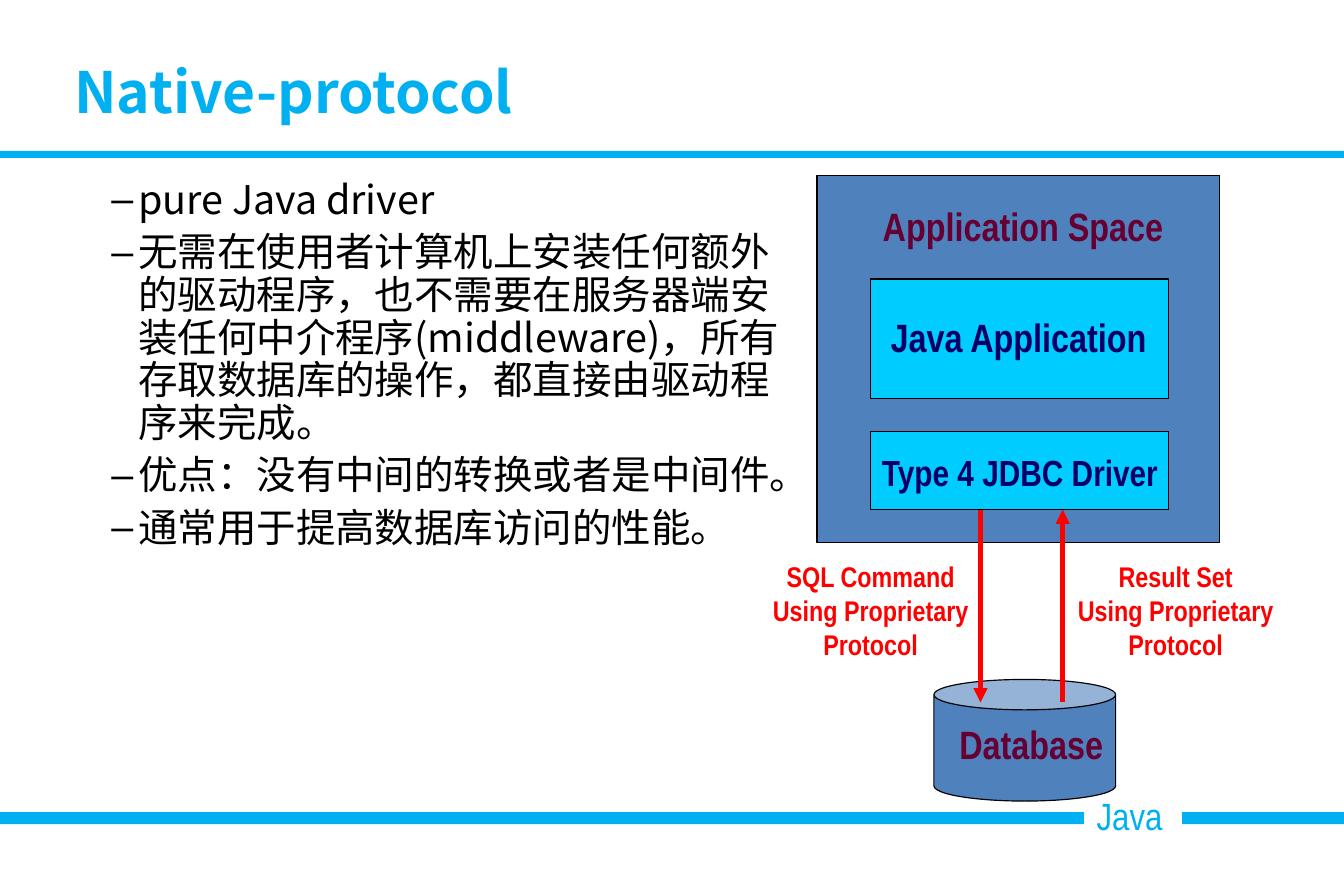
import dataclasses
import pptx
import pptx.dml.color
import pptx.enum.shapes
import pptx.enum.text
import pptx.oxml
import pptx.oxml.ns
import pptx.util

Pt = pptx.util.Pt
Shape = pptx.enum.shapes.MSO_SHAPE
Align = pptx.enum.text.PP_ALIGN
Anchor = pptx.enum.text.MSO_ANCHOR
AutoSize = pptx.enum.text.MSO_AUTO_SIZE
color = pptx.dml.color.RGBColor.from_string


@dataclasses.dataclass(frozen=True)
class Theme:
    accent: str = "00B0F0"
    panel: str = "4F81BD"
    block: str = "00CCFF"
    heading: str = "660033"
    block_text: str = "000066"
    flow: str = "FF0000"
    ink: str = "000000"
    paper: str = "FFFFFF"
    text_font: str = "Noto Sans CJK SC"
    diagram_font: str = "Arial Narrow"
    title_size: int = 36
    body_size: int = 25
    label_size: int = 25
    driver_size: int = 23
    note_size: int = 18
    footer_size: int = 24


theme = Theme()
deck = pptx.Presentation()
deck.slide_width, deck.slide_height = Pt(850.5), Pt(567)
page = deck.slides.add_slide(deck.slide_layouts[1])


def add_block(kind, left, top, width, height, fill, outlined):
    block = page.shapes.add_shape(kind, Pt(left), Pt(top), Pt(width), Pt(height))
    block.shadow.inherit = False
    block.fill.solid()
    block.fill.fore_color.rgb = color(fill)
    if outlined:
        block.line.color.rgb = color(theme.ink)
        block.line.width = Pt(0.75)
    else:
        block.line.fill.background()
    return block


def style(para, font, size, ink, bold, align):
    para.alignment = align
    for span in para.runs:
        span.font.name = font
        span.font.size = Pt(size)
        span.font.bold = bold
        span.font.color.rgb = color(ink)
        east_asian = pptx.oxml.parse_xml(
            f'<a:ea {pptx.oxml.ns.nsdecls("a")} typeface="{font}"/>')
        span.font._element.find(pptx.oxml.ns.qn("a:latin")).addnext(east_asian)


add_block(Shape.RECTANGLE, 0, 514, 850.5, 7.5, theme.accent, False)
footer = add_block(Shape.RECTANGLE, 686, 497.5, 62, 37, theme.paper, False)
footer.text_frame.text = "Java"
footer.text_frame.word_wrap = False
footer.text_frame.vertical_anchor = Anchor.TOP
footer.text_frame.margin_left = footer.text_frame.margin_right = Pt(8)
footer.text_frame.margin_top = footer.text_frame.margin_bottom = Pt(4)
style(footer.text_frame.paragraphs[0], theme.diagram_font, theme.footer_size,
      theme.accent, False, Align.LEFT)
add_block(Shape.RECTANGLE, 0, 95.5, 850.5, 4.5, theme.accent, False)

for kind, left, top, width, height, fill in (
    (Shape.RECTANGLE, 517, 111, 255, 232.5, theme.panel),
    (Shape.RECTANGLE, 551, 176.5, 188.5, 75.5, theme.block),
    (Shape.RECTANGLE, 551, 273, 188.5, 49.5, theme.block),
    (Shape.CAN, 591, 430, 115, 77, theme.panel),
):
    add_block(kind, left, top, width, height, fill, True)

for x, arrow_end in ((620.5, "tailEnd"), (672.5, "headEnd")):
    arrow = page.shapes.add_connector(
        pptx.enum.shapes.MSO_CONNECTOR.STRAIGHT, Pt(x), Pt(322.5), Pt(x), Pt(444.5))
    arrow.line.color.rgb = color(theme.flow)
    arrow.line.width = Pt(3)
    arrow.line._get_or_add_ln().append(pptx.oxml.parse_xml(
        f'<a:{arrow_end} {pptx.oxml.ns.nsdecls("a")} type="triangle"/>'))
    arrow._element.spPr.append(pptx.oxml.parse_xml(
        f'<a:effectLst {pptx.oxml.ns.nsdecls("a")}/>'))

for text, left, top, width, height, size, ink, align in (
    ("Application Space", 551.5, 124, 192, 37, theme.label_size, theme.heading, Align.LEFT),
    ("Java Application", 556.5, 194.5, 178, 37, theme.label_size, theme.block_text, Align.LEFT),
    ("Type 4 JDBC Driver", 551, 281.5, 191.5, 35, theme.driver_size, theme.block_text, Align.LEFT),
    ("Database", 600, 452, 106, 37, theme.label_size, theme.heading, Align.LEFT),
    ("SQL Command\vUsing Proprietary\vProtocol", 481.5, 350, 139, 73,
     theme.note_size, theme.flow, Align.CENTER),
    ("Result Set\vUsing Proprietary\vProtocol", 674.5, 350, 139, 73,
     theme.note_size, theme.flow, Align.CENTER),
):
    label = page.shapes.add_textbox(Pt(left), Pt(top), Pt(width), Pt(height))
    label.text_frame.word_wrap = False
    label.text_frame.text = text
    style(label.text_frame.paragraphs[0], theme.diagram_font, size, ink, True, align)

title = page.shapes.title
body = page.placeholders[1]
for box, left, top, width, height, anchor in (
    (title, 39, 35.5, 765.5, 44.5, Anchor.MIDDLE),
    (body, 39, 110, 468, 374.5, Anchor.TOP),
):
    box.left, box.top, box.width, box.height = Pt(left), Pt(top), Pt(width), Pt(height)
    frame = box.text_frame
    frame.auto_size = AutoSize.NONE
    frame.vertical_anchor = anchor
    frame.margin_left = frame.margin_right = Pt(8)
    frame.margin_top = frame.margin_bottom = Pt(4)

title.text_frame.text = "Native-protocol"
style(title.text_frame.paragraphs[0], theme.text_font, theme.title_size,
      theme.accent, True, Align.LEFT)

body.text_frame.text = "\n".join((
    "pure Java driver",
    "无需在使用者计算机上安装任何额外的驱动程序，也不需要在服务器端安装任何中介程序(middleware)，所有存取数据库的操作，都直接由驱动程序来完成。",
    "优点：没有中间的转换或者是中间件。",
    "通常用于提高数据库访问的性能。",
))
for para in body.text_frame.paragraphs:
    style(para, theme.text_font, theme.body_size, theme.ink, False, Align.LEFT)
    para.level = 1
    para.line_spacing = 0.9
    para.space_before = Pt(6.2)
    properties = para._p.get_or_add_pPr()
    properties.set("marL", str(Pt(40.5)))
    properties.set("indent", str(Pt(-17)))
    for bullet in (f'buClr {pptx.oxml.ns.nsdecls("a")}><a:srgbClr val="{theme.ink}"/></a:buClr',
                   f'buChar {pptx.oxml.ns.nsdecls("a")} char="–"/'):
        properties.append(pptx.oxml.parse_xml(f"<a:{bullet}>"))

deck.save("out.pptx")
